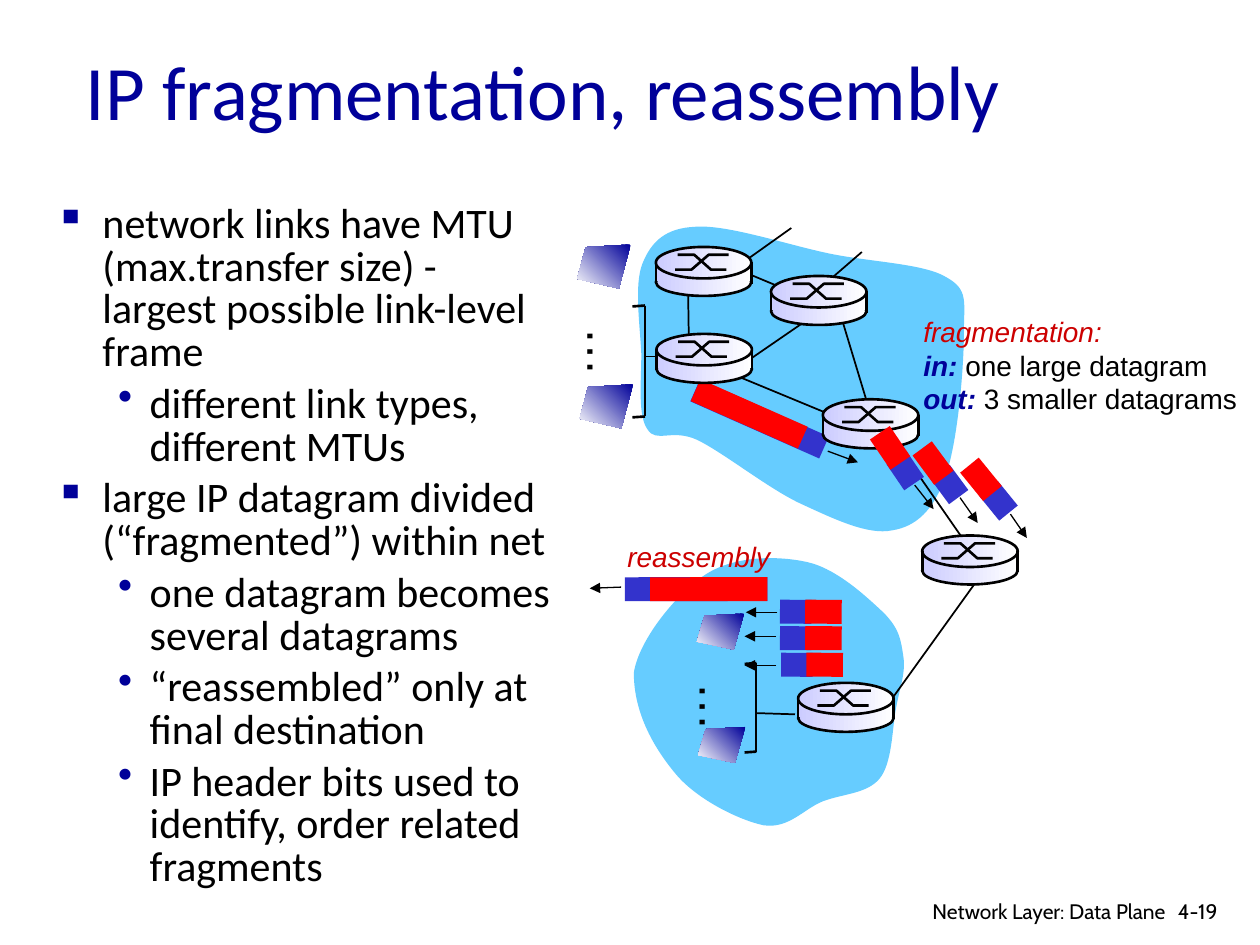
from lxml import etree
from pptx import Presentation
from pptx.dml.color import RGBColor
from pptx.enum.shapes import MSO_CONNECTOR, MSO_SHAPE
from pptx.enum.text import MSO_ANCHOR, PP_ALIGN
from pptx.oxml.ns import qn
from pptx.util import Pt

STRAIGHT = MSO_CONNECTOR.STRAIGHT
RECTANGLE, OVAL = MSO_SHAPE.RECTANGLE, MSO_SHAPE.OVAL
LEFT, RIGHT = PP_ALIGN.LEFT, PP_ALIGN.RIGHT
MIDDLE = MSO_ANCHOR.MIDDLE

COLORS = {"navy": "000099", "black": "000000", "white": "FFFFFF", "red": "CC0000",
          "cloud": "66CCFF", "header": "3333CC", "payload": "FF0000", "router": "CCCCFF"}

# Content: (level, text)
TITLE = "IP fragmentation, reassembly"
BULLETS = [
    (0, "network links have MTU (max.transfer size) - largest possible link-level frame"),
    (1, "different link types, different MTUs"),
    (0, "large IP datagram divided (“fragmented”) within net"),
    (1, "one datagram becomes several datagrams"),
    (1, "“reassembled” only at final destination"),
    (1, "IP header bits used to identify, order related fragments"),
]
BULLET_STYLES = [("▪", 27, -27), ("•", 54, -18)]  # character, margin, indent
ACCENT = {"color": "navy", "bold": True, "italic": True}
CAPTION = {"color": "red", "italic": True}
FRAGMENTATION = [
    [("fragmentation:", CAPTION)],
    [("in:", ACCENT), (" one large datagram", {})],
    [("out:", ACCENT), (" 3 smaller datagrams", {})],
]

# Start point followed by groups of two control points and an end point
CLOUDS = [
    [(397.4, 129.6), (380.2, 130.3), (372.2, 138.2), (367.2, 150.5),
     (362.2, 162.7), (365.8, 186.5), (366.5, 202.3), (366.5, 218.2), (364.3, 237.6), (370.1, 245.5),
     (375.1, 253.4), (383.8, 244.8), (398.2, 251.3), (413.3, 258.5), (439.2, 279.4), (457.9, 288),
     (476.6, 296.6), (496.1, 306), (509.8, 303.1), (523.4, 301), (533.5, 291.6), (540, 272.9),
     (547.2, 254.2), (550.8, 210.2), (550.8, 191.5), (550.8, 172.1), (553.7, 165.6), (540.7, 158.4),
     (527.8, 150.5), (496.8, 149.8), (473, 144.7), (449.3, 139.7), (415.4, 128.2), (397.4, 129.6)],
    [(362.2, 384.5), (365, 365.8), (386.6, 339.1), (403.2, 328.3),
     (419.8, 317.5), (444.2, 317.5), (460.8, 321.1), (478.1, 324.7), (495.4, 341.3), (504.7, 349.9),
     (514.1, 359.3), (514.8, 365.8), (516.2, 375.1), (517.7, 384.5), (514.1, 393.1), (511.9, 405.4),
     (509.8, 416.9), (509.8, 436.3), (502.6, 445), (495.4, 453.6), (481.7, 453.6), (470.2, 457.9),
     (459.4, 462.2), (450.7, 473.8), (436.3, 471.6), (422.6, 468.7), (398.9, 457.2), (386.6, 442.8),
     (374.4, 428.4), (362.2, 408.2), (362.2, 384.5)],
]
LINKS = [
    (367.9, 203.8, 378, 203.8), (413.3, 150.5, 465.1, 172.1), (479.5, 177.1, 495.4, 229.7),
    (393.1, 159.1, 393.8, 205.2), (411.8, 211, 488.2, 242.6), (549.4, 306.7, 511.9, 252.7),
    (473.8, 174.2, 414, 215.3), (452.2, 130.3, 414.7, 157), (492.5, 144, 470.9, 162.7),
    (558.7, 331.2, 509, 400.3), (432, 407.5, 454.3, 408.2),
]
ROUTERS = [(470.2, 228.2), (374.8, 141.1), (375.1, 190.8), (440.6, 157.7), (527, 306), (456.1, 390.2)]

# Packets: header (left, top, width), payload (left, top, width), rotation, arrow
LARGE_PACKETS = [
    ((393.8, 232.6, 80.6), (394.6, 229.7, 67), 23.9, (473, 257.8, 490.3, 264.2)),
    ((357.1, 329.8, 81.4), (371.5, 329.8, 67), 179.9, (355, 335.5, 337, 336.2)),
]
FRAGMENTS = [
    ((445.7, 342.7, 18), (460.1, 342.7, 20.9), 180.4, (444.2, 349.9, 426.2, 349.9)),
    ((445.7, 357.8, 18), (460.1, 357.8, 20.9), 180.4, (443.5, 363.6, 425.5, 363.6)),
    ((446.4, 373, 18), (460.8, 373, 20.9), 180.4, (443.5, 380.2, 425.5, 380.2)),
    ((508.3, 262.1, 18), (498.2, 249.1, 20.9), 55.8, (522.7, 277.2, 533.5, 290.9)),
    ((533.5, 270, 18), (522.7, 257.8, 20.9), 53.6, (548.6, 284.4, 558.7, 298.8)),
    ((561.6, 279.4, 18), (550.1, 267.1, 20.9), 50.9, (577.4, 293.8, 586.8, 307.4)),
]
# Host groups: bracket box, host size, host corners, corner of the dots
HOST_GROUPS = [
    ((361.4, 174.6, 368.6, 238), (30.6, 25.2), [(329.8, 139.7), (331.2, 219.6)], (325.4, 180.7)),
    ((425.5, 378.9, 432.2, 429.5), (27, 20.6), [(398.2, 350.6), (398.9, 415.4)], (389.5, 383.8)),
]
HOST_OUTLINE = [(1, 0), (0.16, 0.06), (0, 0.78), (0.78, 1), (1, 0)]

presentation = Presentation()
presentation.slide_width, presentation.slide_height = Pt(720), Pt(540)
slide = presentation.slides.add_slide(presentation.slide_layouts[5])
shapes = slide.shapes


def rgb(name):
    return RGBColor.from_string(COLORS[name])


def add_run(paragraph, text, size=16, font="Arial", color="black", bold=False, italic=False):
    run = paragraph.add_run()
    run.text = text
    run.font.size, run.font.name = Pt(size), font
    run.font.bold, run.font.italic = bold, italic
    run.font.color.rgb = rgb(color)


def add_box(left, top, width, height, lines=(), wrap=False, align=LEFT):
    """Text box whose lines are lists of (text, format) runs."""
    box = shapes.add_textbox(Pt(left), Pt(top), Pt(width), Pt(height))
    box.text_frame.word_wrap = wrap
    for index, runs in enumerate(lines):
        paragraph = box.text_frame.add_paragraph() if index else box.text_frame.paragraphs[0]
        paragraph.alignment = align
        for text, style in runs:
            add_run(paragraph, text, **style)
    return box


def format_shape(shape, fill=None, gradient=None, line=None):
    shape.shadow.inherit = False
    if gradient:
        start, end, angle = gradient
        shape.fill.gradient()
        shape.fill.gradient_angle = angle
        for stop, color in zip(shape.fill.gradient_stops, (start, end)):
            stop.color.rgb = rgb(color)
    elif fill:
        shape.fill.solid()
        shape.fill.fore_color.rgb = rgb(fill)
    else:
        shape.fill.background()
    if line:
        shape.line.color.rgb = rgb("black")
        shape.line.width = Pt(line)
    else:
        shape.line.fill.background()


def add_preset(kind, left, top, width, height, rotation=0, **style):
    shape = shapes.add_shape(kind, Pt(left), Pt(top), Pt(width), Pt(height))
    shape.rotation = rotation
    format_shape(shape, **style)


def add_outline(points, close=True, **style):
    corners = [(Pt(x), Pt(y)) for x, y in points]
    builder = shapes.build_freeform(*corners[0])
    builder.add_line_segments(corners[1:], close=close)
    shape = builder.convert_to_shape()
    format_shape(shape, **style)
    return shape


def add_line(x1, y1, x2, y2, width=1, arrow=False):
    line = shapes.add_connector(STRAIGHT, Pt(x1), Pt(y1), Pt(x2), Pt(y2))
    line.line.color.rgb = rgb("black")
    line.line.width = Pt(width)
    if arrow:
        etree.SubElement(line.line._get_or_add_ln(), qn("a:tailEnd"), type="triangle")
    etree.SubElement(line._element.spPr, qn("a:effectLst"))


def add_cloud(points):
    shape = add_outline(points, fill="cloud")
    segments = list(shape._element.iter(qn("a:lnTo")))
    for first in range(0, len(segments), 3):  # three points make one curve
        curve = etree.Element(qn("a:cubicBezTo"))
        segments[first].addprevious(curve)
        for segment in segments[first:first + 3]:
            curve.append(segment[0])
            segment.getparent().remove(segment)


def add_packet(header, payload, rotation, arrow):
    for (left, top, width), color in ((header, "header"), (payload, "payload")):
        add_preset(RECTANGLE, left, top, width, 13.7, rotation, fill=color)
    add_line(*arrow, width=0.75, arrow=True)


def add_router(left, top):
    width, shade = 54.6, ("router", "white", 0)
    add_preset(OVAL, left, top + 12.2, width, 15.8, gradient=shade, line=1.5)
    add_preset(RECTANGLE, left, top + 10.3, width, 9.4, gradient=shade)
    add_preset(OVAL, left, top, width, 18, gradient=shade, line=1.5)
    high, low = top + 4.5, top + 13
    for columns, start, end in (((11, 20.4, 30.2, 41.6), low, high), ((12.4, 21.9, 31.5, 40.3), high, low)):
        points = [(left + x, y) for x, y in zip(columns, (start, start, end, end))]
        add_outline(points, close=False, line=1.5)
    for x in (left, left + width):
        add_line(x, top + 8.7, x, top + 20.9, width=1.5)


def add_host_group(bracket, size, hosts, dots):
    left, top, right, bottom = bracket
    for y in (top, bottom):
        add_line(left, y + 0.5, right, y, width=1.5)
    add_line(right, top, right, bottom)
    for x, y in hosts:
        add_outline([(x + u * size[0], y + v * size[1]) for u, v in HOST_OUTLINE],
                    gradient=("navy", "white", 225))
    add_box(*dots, 42.5, 41, [[("…", {"size": 28})]]).rotation = 90


# Title
title = shapes.title
title.left, title.top, title.width, title.height = Pt(41.8), Pt(14.4), Pt(612), Pt(73.4)
title.text_frame.vertical_anchor = MIDDLE
title.text_frame.paragraphs[0].alignment = LEFT
add_run(title.text_frame.paragraphs[0], TITLE, size=44, font="Calibri", color="navy")

# Bullets
body_style = {"size": 24, "font": "Calibri"}
body = add_box(24.5, 113, 300.2, 401, [[(text, body_style)] for _, text in BULLETS], wrap=True)
for index, (level, _) in enumerate(BULLETS):
    paragraph = body.text_frame.paragraphs[index]
    character, margin, indent = BULLET_STYLES[level]
    properties = paragraph._p.get_or_add_pPr()
    properties.set("marL", str(Pt(margin)))
    properties.set("indent", str(Pt(indent)))
    bullet_color = etree.SubElement(properties, qn("a:buClr"))
    etree.SubElement(bullet_color, qn("a:srgbClr"), val=COLORS["navy"])
    etree.SubElement(properties, qn("a:buChar"), char=character)
    paragraph.level = level
    paragraph.line_spacing = 0.85
    paragraph.space_before = Pt(5 if index else 0)

# Network, from back to front
for cloud in CLOUDS:
    add_cloud(cloud)
for link in LINKS:
    add_line(*link)
for packet in LARGE_PACKETS:
    add_packet(*packet)
add_box(520.6, 176.4, 194.4, 64.8, FRAGMENTATION)
add_box(351.4, 304.6, 96.5, 26.6, [[("reassembly", CAPTION)]])
for group in HOST_GROUPS:
    add_host_group(*group)
for router in ROUTERS:
    add_router(*router)
for packet in FRAGMENTS:
    add_packet(*packet)

# Footer
footer_style = {"size": 12, "font": "Cabin"}
add_box(666, 509.8, 43.9, 21.6, [[("4-19", footer_style)]], wrap=True)
add_box(501.8, 509.8, 171.4, 18.7, [[("Network Layer: Data Plane", footer_style)]], wrap=True, align=RIGHT)

presentation.save("out.pptx")
